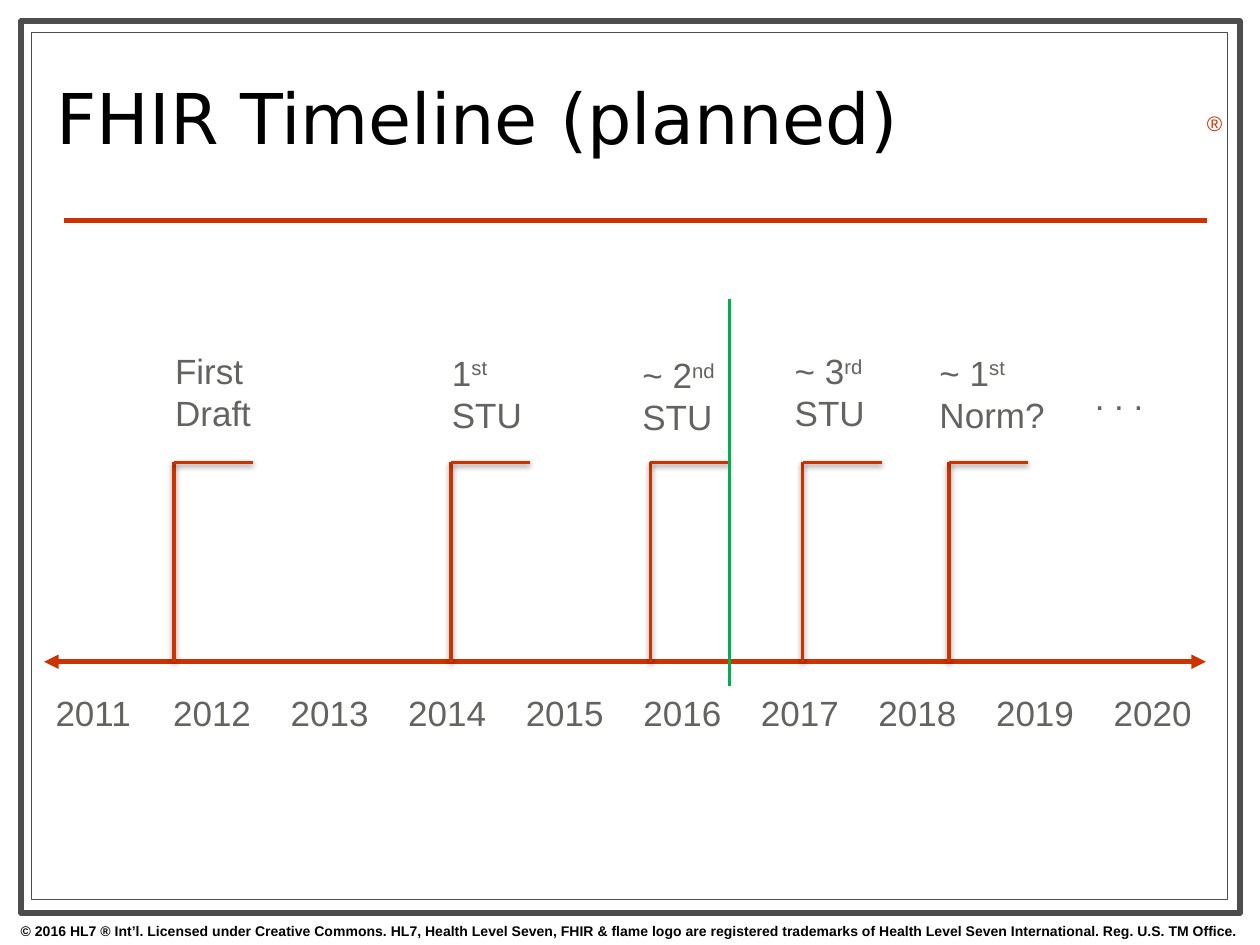
from lxml.etree import SubElement
from pptx import Presentation
from pptx.dml.color import RGBColor
from pptx.enum.shapes import MSO_CONNECTOR as Connector, MSO_SHAPE as Shape
from pptx.enum.text import MSO_ANCHOR as Anchor, MSO_AUTO_SIZE as AutoSize, PP_ALIGN as Align
from pptx.oxml.ns import qn
from pptx.util import Cm, Pt

rgb = RGBColor.from_string
RED, GREY, FRAME, BLACK, GREEN = "CC3300", "636360", "4D4D4D", "000000", "00B050"


def add_rule(shapes, x1, y1, x2, y2, color, width):
    rule = shapes.add_connector(Connector.STRAIGHT, Cm(x1), Cm(y1), Cm(x2), Cm(y2))
    rule.line.color.rgb = rgb(color)
    rule.line.width = Pt(width)
    effects = SubElement(rule._element.spPr, qn("a:effectLst"))
    return rule, effects


def add_label(shapes, left, top, width, height, words, size=20, color=GREY, wrap=False):
    label = shapes.add_textbox(Cm(left), Cm(top), Cm(width), Cm(height))
    label.text_frame.word_wrap = wrap
    label.text_frame.auto_size = AutoSize.SHAPE_TO_FIT_TEXT
    paragraph = label.text_frame.paragraphs[0]
    paragraph.font.name = "Arial"
    paragraph.font.size = Pt(size)
    paragraph.font.color.rgb = rgb(color)
    run = paragraph.add_run()
    run.text = words
    run.font.name = "Arial"
    run.font.size = Pt(size)
    run.font.color.rgb = rgb(color)
    return label.text_frame


prs = Presentation()
prs.slide_width, prs.slide_height = Cm(25.4), Cm(19.05)
slide = prs.slides.add_slide(prs.slide_layouts[5])
shapes = slide.shapes

for left, top, width, height, weight in [
    (0.43, 0.43, 24.56, 17.98, 3.5),
    (0.64, 0.66, 24.1, 17.48, 0.75),
]:
    frame = shapes.add_shape(Shape.RECTANGLE, Cm(left), Cm(top), Cm(width), Cm(height))
    frame.shadow.inherit = False
    frame.fill.solid()
    frame.fill.fore_color.rgb = rgb("FFFFFF")
    frame.line.color.rgb = rgb(FRAME)
    frame.line.width = Pt(weight)

add_rule(shapes, 1.3, 4.45, 24.33, 4.45, RED, 3)
copyright_line = add_label(
    shapes, 0, 18.47, 25.4, 0.58,
    "© 2016 HL7 ® Int’l. Licensed under Creative Commons. HL7, Health Level Seven, "
    "FHIR & flame logo are registered trademarks of Health Level Seven International. "
    "Reg. U.S. TM Office.", 8, BLACK, True)
copyright_line.paragraphs[0].alignment = Align.CENTER
copyright_line.paragraphs[0].runs[0].font.bold = True
add_label(shapes, 24.08, 2.11, 0.79, 0.76, "®", 12, RED, True)

title = shapes.title
title.element.getparent().append(title.element)
title.left, title.top, title.width, title.height = Cm(0.89), Cm(0.91), Cm(18.21), Cm(3.2)
title.text_frame.vertical_anchor = Anchor.MIDDLE
title.text_frame.auto_size = AutoSize.NONE
heading = title.text_frame.paragraphs[0]
heading.alignment = Align.LEFT
heading.line_spacing = 0.8
heading_run = heading.add_run()
heading_run.text = "FHIR Timeline (planned)"
heading_run.font.name = "DejaVu Sans"
heading_run.font.size = Pt(40)
heading_run.font.color.rgb = rgb(BLACK)

AXIS_Y, FLAG_Y, FLAG_WIDTH = 13.34, 9.32, 1.6
axis, _ = add_rule(shapes, 0.89, AXIS_Y, 24.31, AXIS_Y, RED, 2.75)
for end in ("a:headEnd", "a:tailEnd"):
    SubElement(axis.line._get_or_add_ln(), qn(end), type="triangle")

for index, year in enumerate(range(2011, 2021)):
    add_label(shapes, 0.87 + 2.37 * index, 13.82, 2.11, 1.12, str(year))

for flag_x, left, top, width, stage, ordinal, kind in [
    (3.51, 3.28, 6.93, 2.06, "First", "", "Draft"),
    (9.09, 8.86, 6.96, 1.93, "1", "st", "STU"),
    (13.11, 12.7, 7.01, 2.06, "~ 2", "nd", "STU"),
    (16.18, 15.77, 6.93, 2.13, "~ 3", "rd", "STU"),
    (19.13, 18.69, 6.96, 2.64, "~ 1", "st", "Norm?"),
]:
    milestone = shapes.add_group_shape().shapes
    caption = add_label(milestone, left, top, width, 1.96, stage)
    first_line = second_line = caption.paragraphs[0]
    extra_runs = []
    if ordinal:
        suffix = first_line.add_run()
        suffix.text = ordinal
        suffix.font._element.set("baseline", "30000")
        extra_runs.append(suffix)
        second_line = caption.add_paragraph()
    else:
        first_line.add_line_break()
    kind_run = second_line.add_run()
    kind_run.text = kind
    for run in extra_runs + [kind_run]:
        run.font.name = "Arial"
        run.font.size = Pt(20)
        run.font.color.rgb = rgb(GREY)

    for end_x, end_y in [(flag_x, AXIS_Y), (flag_x + FLAG_WIDTH, FLAG_Y)]:
        _, effects = add_rule(milestone, flag_x, FLAG_Y, end_x, end_y, RED, 2)
        shadow = SubElement(effects, qn("a:outerShdw"), blurRad="40000", dist="20000",
                            dir="5400000", rotWithShape="0")
        shade = SubElement(shadow, qn("a:srgbClr"), val=BLACK)
        SubElement(shade, qn("a:alpha"), val="38000")

add_label(shapes, 21.82, 7.44, 1.5, 1.12, ". . .")
add_rule(shapes, 14.71, 6.02, 14.71, 13.82, GREEN, 2)

prs.save("out.pptx")
